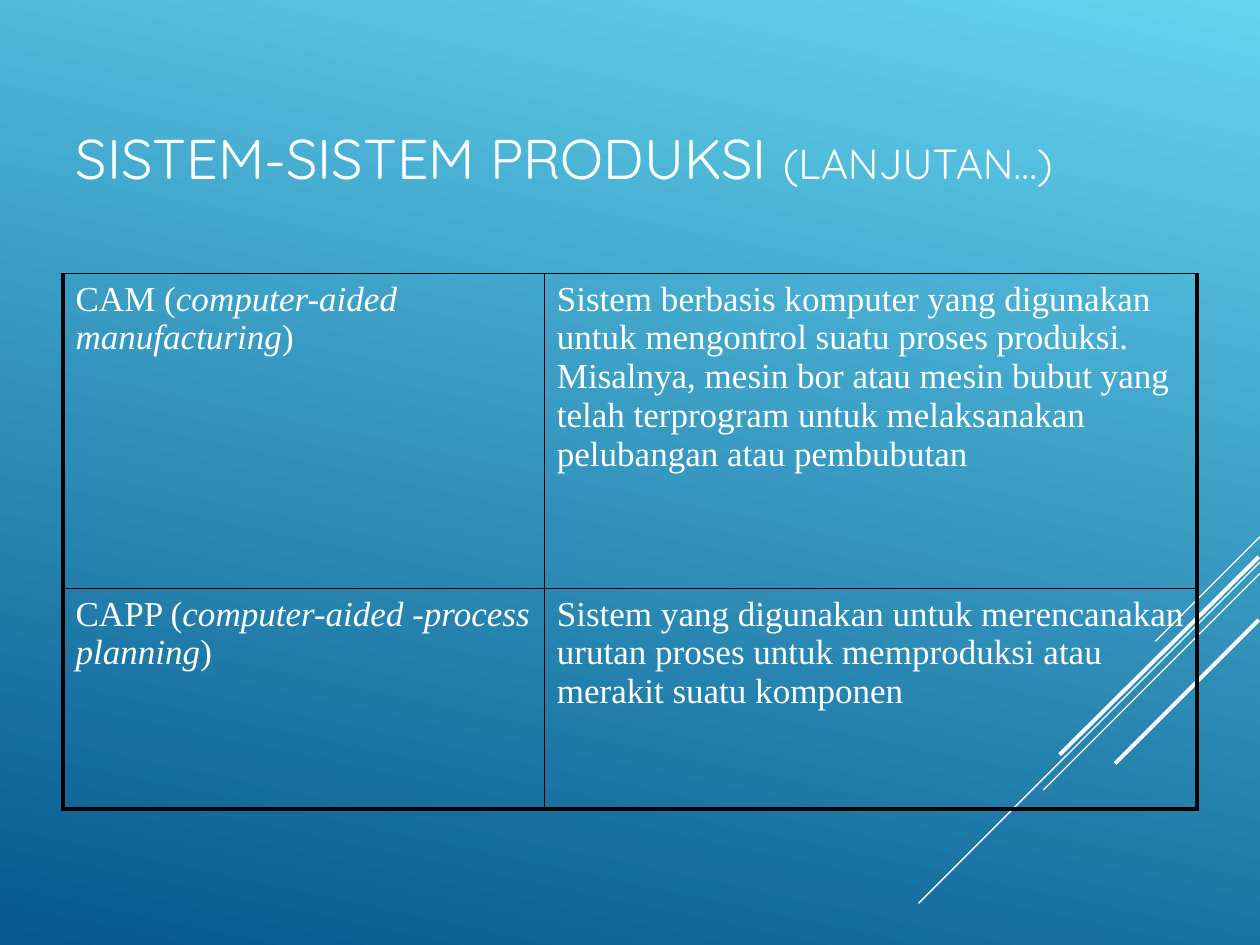
from lxml import etree
from pptx import Presentation
from pptx.dml.color import RGBColor
from pptx.enum.shapes import MSO_CONNECTOR
from pptx.enum.text import MSO_ANCHOR, PP_ALIGN
from pptx.oxml import parse_xml
from pptx.oxml.ns import nsdecls, qn
from pptx.util import Inches, Pt

STRAIGHT = MSO_CONNECTOR.STRAIGHT
MIDDLE = MSO_ANCHOR.MIDDLE
LEFT = PP_ALIGN.LEFT

WHITE = "FFFFFF"
BLACK = "000000"
THIN, THICK = 0.45, 2.5

DIAGONALS = [
    (10, 4.26, 9.17, 5.09, 0.75),
    (10, 4.46, 7.29, 7.17, 0.75),
    (10, 4.55, 8.28, 6.27, 0.75),
    (9.99, 4.42, 8.41, 5.99, 2.25),
    (9.99, 4.92, 8.85, 6.06, 2.25),
]
TITLE = [("SISTEM-SISTEM PRODUKSI ", 32, False), ("(LANJUTAN…)", 24, False)]
COLUMN_WIDTHS = [3.82, 5.18]
ROW_HEIGHTS = [2.5, 1.75]
SYSTEMS = [
    (
        [("CAM (", 20, False), ("computer-aided manufacturing", 20, True), (")", 20, False)],
        [("Sistem berbasis komputer yang digunakan untuk mengontrol suatu proses "
          "produksi. Misalnya, mesin bor atau mesin bubut yang telah terprogram "
          "untuk melaksanakan pelubangan atau pembubutan", 20, False)],
    ),
    (
        [("CAPP (", 20, False), ("computer-aided -process planning", 20, True), (")", 20, False)],
        [("Sistem yang digunakan untuk merencanakan urutan proses untuk "
          "memproduksi atau merakit suatu komponen", 20, False)],
    ),
]


def color(value):
    return RGBColor.from_string(value)


def paint_background(slide):
    fill = slide.background.fill
    fill.gradient()
    fill.gradient_angle = 258
    for stop, shade in zip(fill.gradient_stops, ("64D4EF", "06588E")):
        stop.color.rgb = color(shade)


def write_runs(paragraph, pieces, font_name):
    paragraph.alignment = LEFT
    for text, size, italic in pieces:
        run = paragraph.add_run()
        run.text = text
        run.font.name = font_name
        run.font.size = Pt(size)
        run.font.italic = italic
        run.font.color.rgb = color(WHITE)


def add_title(slide):
    title = slide.shapes.title
    title.left, title.top = Inches(0.5), Inches(0.5)
    title.width, title.height = Inches(9), Inches(1.5)
    title.text_frame.vertical_anchor = MIDDLE
    write_runs(title.text_frame.paragraphs[0], TITLE, "Quicksand")


def add_diagonal(slide, x1, y1, x2, y2, weight):
    diagonal = slide.shapes.add_connector(
        STRAIGHT, Inches(x1), Inches(y1), Inches(x2), Inches(y2))
    diagonal.line.color.rgb = color(WHITE)
    diagonal.line.width = Pt(weight)
    etree.SubElement(diagonal.element.spPr, qn("a:effectLst"))


def set_borders(cell, weights):
    properties = cell._tc.get_or_add_tcPr()
    for position, (side, weight) in enumerate(weights.items()):
        border = parse_xml(
            f'<a:ln{side} {nsdecls("a")} w="{Pt(weight)}"><a:solidFill>'
            f'<a:srgbClr val="{BLACK}"/></a:solidFill></a:ln{side}>')
        properties.insert(position, border)


def add_systems_table(slide):
    last_row, last_column = len(ROW_HEIGHTS) - 1, len(COLUMN_WIDTHS) - 1
    table = slide.shapes.add_table(
        len(ROW_HEIGHTS), len(COLUMN_WIDTHS), Inches(0.5), Inches(2.17),
        Inches(sum(COLUMN_WIDTHS)), Inches(sum(ROW_HEIGHTS))).table
    table.first_row = False
    table.horz_banding = False
    for column, width in zip(table.columns, COLUMN_WIDTHS):
        column.width = Inches(width)
    for row, height in zip(table.rows, ROW_HEIGHTS):
        row.height = Inches(height)
    for r, system in enumerate(SYSTEMS):
        for c, pieces in enumerate(system):
            cell = table.cell(r, c)
            cell.fill.background()
            set_borders(cell, {
                "L": THICK if c == 0 else THIN,
                "R": THICK if c == last_column else THIN,
                "T": THIN,
                "B": THICK if r == last_row else THIN,
            })
            write_runs(cell.text_frame.paragraphs[0], pieces, "Times New Roman")


def main():
    presentation = Presentation()
    presentation.slide_width = Inches(10)
    presentation.slide_height = Inches(7.5)
    slide = presentation.slides.add_slide(presentation.slide_layouts[5])
    paint_background(slide)
    for diagonal in DIAGONALS:
        add_diagonal(slide, *diagonal)
    add_title(slide)
    add_systems_table(slide)
    presentation.save("out.pptx")


if __name__ == "__main__":
    main()
